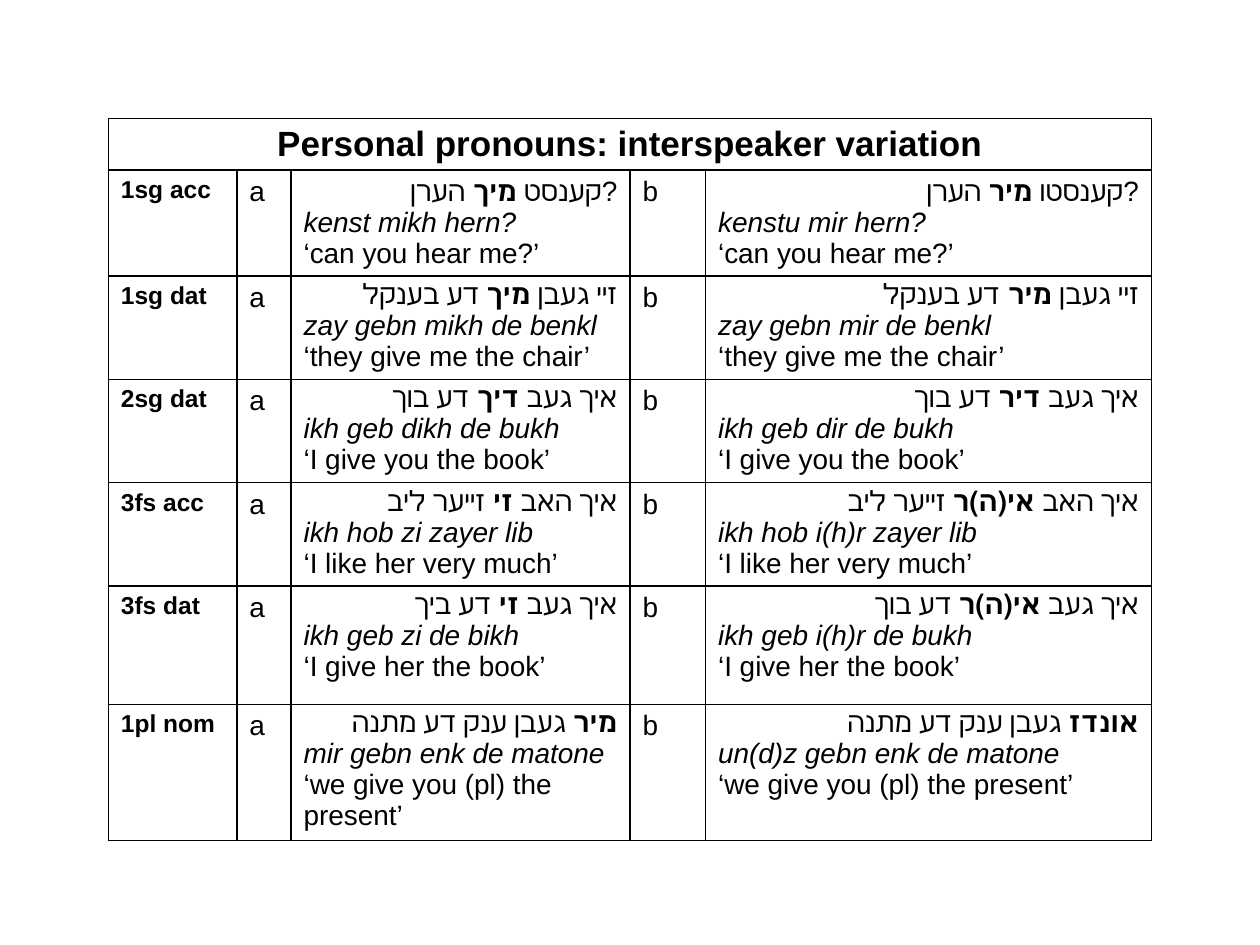
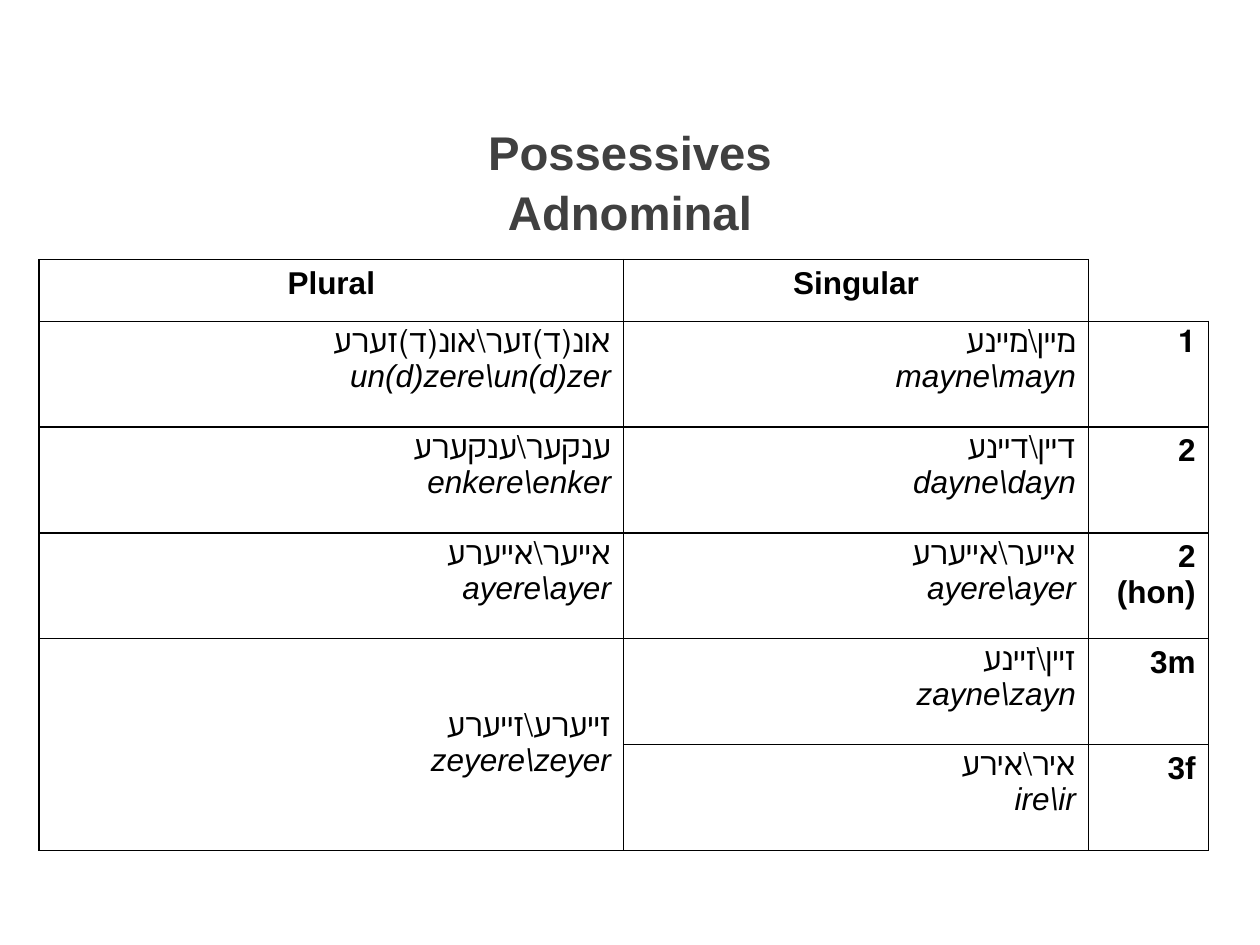
from lxml import etree
from pptx import Presentation
from pptx.dml.color import RGBColor
from pptx.enum.text import MSO_ANCHOR, PP_ALIGN
from pptx.oxml.ns import qn
from pptx.util import Inches, Pt

FONT = "Arial"
COLORS = {"ink": "000000", "title": "404040", "paper": "FFFFFF"}
LEFT, CENTER, RIGHT = PP_ALIGN.LEFT, PP_ALIGN.CENTER, PP_ALIGN.RIGHT


def write(paragraph, text, size, align=LEFT, bold=False, italic=False, color="ink"):
    """Fill a paragraph; parts between | marks are bold."""
    paragraph.alignment = align
    font = paragraph.font
    font.name, font.size = FONT, Pt(size)
    font.bold, font.italic = bold, italic
    font.color.rgb = RGBColor.from_string(COLORS[color])
    if "|" not in text:
        paragraph.text = text
        return
    for index, part in enumerate(text.split("|")):
        if part:
            run = paragraph.add_run()
            run.text = part
            run.font.bold = index % 2 == 1


def add_ruled_table(slide, left, top, widths, heights, open_cells=()):
    """Add a white table with 1 pt rules; open cells keep only left and bottom."""
    frame = slide.shapes.add_table(
        len(heights), len(widths), Inches(left), Inches(top),
        Inches(sum(widths)), Inches(sum(heights)))
    table = frame.table
    table.first_row = table.horz_banding = False
    for column, width in zip(table.columns, widths):
        column.width = Inches(width)
    for row_index, height in enumerate(heights):
        table.rows[row_index].height = Inches(height)
        for column_index in range(len(widths)):
            cell = table.cell(row_index, column_index)
            properties = cell._tc.get_or_add_tcPr()
            sides = "LB" if (row_index, column_index) in open_cells else "LRTB"
            for side in sides:
                line = etree.SubElement(properties, qn(f"a:ln{side}"), w=str(Pt(1)))
                fill = etree.SubElement(line, qn("a:solidFill"))
                etree.SubElement(fill, qn("a:srgbClr"), val=COLORS["ink"])
            cell.fill.solid()
            cell.fill.fore_color.rgb = RGBColor.from_string(COLORS["paper"])
    return table


presentation = Presentation()
presentation.slide_width, presentation.slide_height = Inches(10), Inches(7.5)
blank_layout = presentation.slide_layouts[6]

# Slide 1: personal pronouns
slide = presentation.slides.add_slide(blank_layout)
pronouns = [
    ("1sg acc", "קענסט |מיך |הערן?", "kenst mikh hern?",
     "קענסטו |מיר| הערן?", "kenstu mir hern?", "‘can you hear me?’"),
    ("1sg dat", "זיי געבן |מיך| דע בענקל", "zay gebn mikh de benkl",
     "זיי געבן |מיר |דע בענקל", "zay gebn mir de benkl", "‘they give me the chair’"),
    ("2sg dat", "איך געב |דיך |דע בוך", "ikh geb dikh de bukh",
     "איך געב |דיר| דע בוך", "ikh geb dir de bukh", "‘I give you the book’"),
    ("3fs acc", "איך האב |זי |זייער ליב", "ikh hob zi zayer lib",
     "איך האב |אי(ה)ר| זייער ליב", "ikh hob i(h)r zayer lib", "‘I like her very much’"),
    ("3fs dat", "איך געב |זי |דע ביך", "ikh geb zi de bikh",
     "איך געב |אי(ה)ר| דע בוך", "ikh geb i(h)r de bukh", "‘I give her the book’"),
    ("1pl nom", "|מיר| געבן ענק דע מתנה", "mir gebn enk de matone",
     "|אונדז| געבן ענק דע מתנה", "un(d)z gebn enk de matone",
     "‘we give you (pl) the present’"),
]
table = add_ruled_table(slide, 0.86, 0.94, [1.02, 0.43, 2.69, 0.6, 3.54],
                        [0.41, 0.84, 0.82, 0.82, 0.82, 0.94, 1.08])
table.cell(0, 0).merge(table.cell(0, 4))
write(table.cell(0, 0).text_frame.paragraphs[0],
      "Personal pronouns: interspeaker variation", 20, CENTER, bold=True)

for row, (label, yiddish_a, latin_a, yiddish_b, latin_b, gloss) in enumerate(pronouns, 1):
    write(table.cell(row, 0).text_frame.paragraphs[0], label, 14, bold=True)
    variants = [("a", yiddish_a, latin_a), ("b", yiddish_b, latin_b)]
    for column, (letter, yiddish, latin) in zip((1, 3), variants):
        write(table.cell(row, column).text_frame.paragraphs[0], letter, 16)
        text_frame = table.cell(row, column + 1).text_frame
        write(text_frame.paragraphs[0], yiddish, 16, RIGHT)
        write(text_frame.add_paragraph(), latin, 16, italic=True)
        write(text_frame.add_paragraph(), gloss, 16)

# Slide 2: possessives
slide = presentation.slides.add_slide(blank_layout)
title = slide.shapes.add_textbox(Inches(0.36), Inches(0.91), Inches(9.28), Inches(1))
title.text_frame.word_wrap = True
paragraph = title.text_frame.paragraphs[0]
write(paragraph, "Possessives\vAdnominal", 27, CENTER, bold=True, color="title")
paragraph.line_spacing = 1.05

# Each row: plural, singular, person, right-to-left columns
possessives = [
    (("אונ(ד)זער\\אונ(ד)זערע", "un(d)zere\\un(d)zer"),
     ("מיין\\מיינע", "mayne\\mayn"), "1", True),
    (("ענקער\\ענקערע", "enkere\\enker"), ("דיין\\דיינע", "dayne\\dayn"), "2", False),
    (("אייער\\אייערע", "ayere\\ayer"), ("אייער\\אייערע", "ayere\\ayer"), "2 (hon)", False),
    (("זייערע\\זייערע", "zeyere\\zeyer"), ("זיין\\זיינע", "zayne\\zayn"), "3m", False),
    (None, ("איר\\אירע", "ire\\ir"), "3f", True),
]
table = add_ruled_table(slide, 0.31, 2.06, [4.64, 3.69, 0.95],
                        [0.49] + [0.84] * len(possessives), open_cells=[(0, 2)])
table.cell(4, 0).merge(table.cell(5, 0))
table.cell(4, 0).vertical_anchor = MSO_ANCHOR.MIDDLE
for column, heading in enumerate(["Plural", "Singular"]):
    write(table.cell(0, column).text_frame.paragraphs[0], heading, 18, CENTER, bold=True)

for row, (plural, singular, person, right_to_left) in enumerate(possessives, 1):
    for column, forms in enumerate([plural, singular]):
        if forms:
            text_frame = table.cell(row, column).text_frame
            write(text_frame.paragraphs[0], forms[0], 18, RIGHT)
            write(text_frame.add_paragraph(), forms[1], 18, RIGHT, italic=True)
    write(table.cell(row, 2).text_frame.paragraphs[0], person, 18, RIGHT, bold=True)
    if right_to_left:
        for column in (1, 2):
            for paragraph in table.cell(row, column).text_frame.paragraphs:
                paragraph._p.get_or_add_pPr().set("rtl", "1")

presentation.save("out.pptx")
